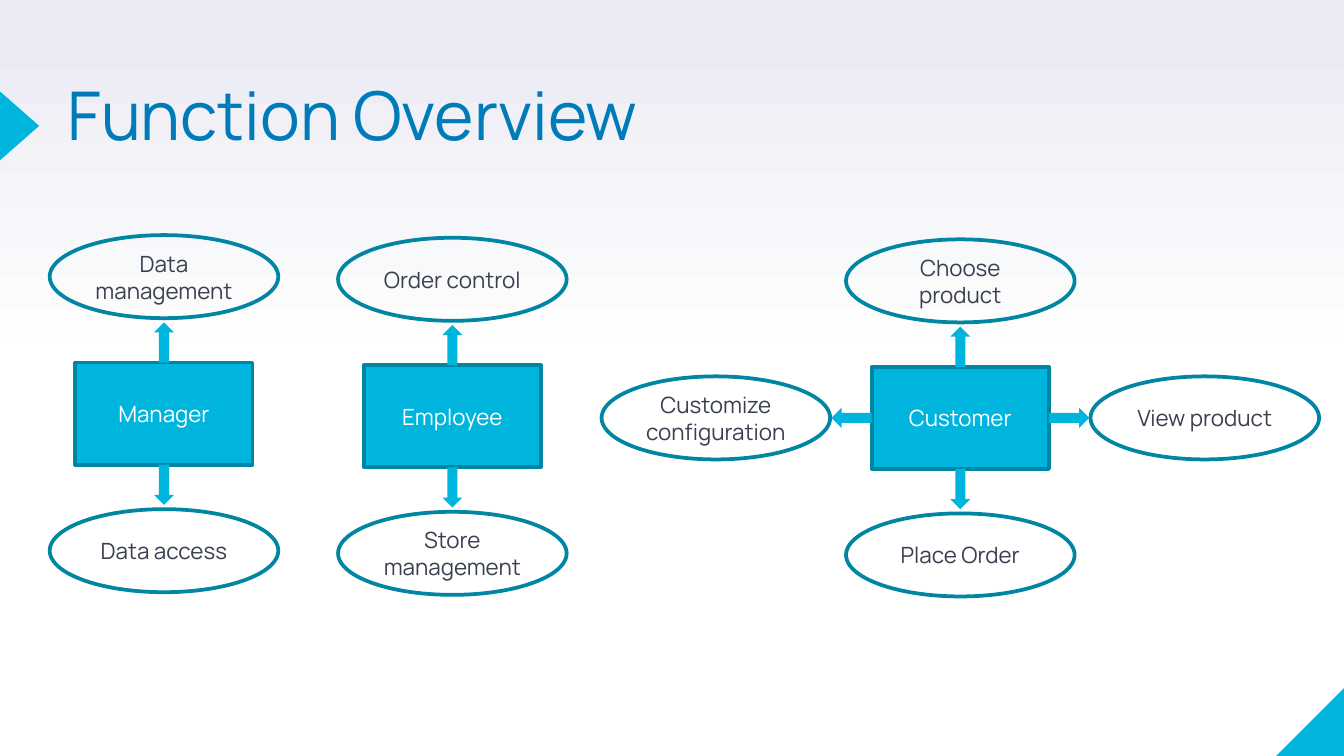
import copy

import pptx
import pptx.dml.color
import pptx.enum.shapes
import pptx.enum.text
import pptx.oxml.ns
import pptx.util

Cm = pptx.util.Cm
SHAPES = pptx.enum.shapes.MSO_SHAPE
FONT = "Manrope"
CYAN, TEAL, BLUE, DARK, WHITE = "00B5DD", "0086A3", "007BB9", "3A3F50", "FFFFFF"

ROLE_SIZE = (3.35, 1.93)
FUNCTION_SIZE = (4.32, 1.57)
ARROW_WIDTH, ARROW_LENGTH = 0.38, 0.76
REACH_X, REACH_Y = 4.62, 2.59  # from a role's centre to its functions' centres

# Horizontal step, vertical step and arrow shape of each direction
DIRECTIONS = {
    "up": (0, -1, SHAPES.UP_ARROW),
    "down": (0, 1, SHAPES.DOWN_ARROW),
    "left": (-1, 0, SHAPES.LEFT_ARROW),
    "right": (1, 0, SHAPES.RIGHT_ARROW),
}

# Centre of each role in cm, its name and its functions
ROLES = [
    ((3.1, 7.82), "Manager", {"up": "Data management", "down": "Data access"}),
    ((8.55, 7.87), "Employee", {"up": "Order control", "down": "Store management"}),
    ((18.15, 7.9), "Customer", {
        "up": "Choose product",
        "down": "Place Order",
        "left": "Customize configuration",
        "right": "View product",
    }),
]


def rgb(value):
    return pptx.dml.color.RGBColor.from_string(value)


def apply(target, values):
    for name, value in values.items():
        setattr(target, name, value)


def centred_box(centre, size):
    return (centre[0] - size[0] / 2, centre[1] - size[1] / 2, *size)


def add_shape(slide, kind, box, fill=None, line=None):
    shape = slide.shapes.add_shape(kind, *(Cm(length) for length in box))
    shape.shadow.inherit = False
    if fill:
        shape.fill.solid()
        shape.fill.fore_color.rgb = rgb(fill)
    else:
        shape.fill.background()
    if line:
        shape.line.color.rgb = rgb(line)
        shape.line.width = pptx.util.Pt(2)
    else:
        shape.line.fill.background()
    return shape


def write_text(shape, text, size, color, frame_values, paragraph_values):
    frame = shape.text_frame
    apply(frame, {"word_wrap": True, **frame_values})
    paragraph = frame.paragraphs[0]
    apply(paragraph, paragraph_values)
    run = paragraph.add_run()
    run.text = text
    apply(run.font, {"name": FONT, "size": pptx.util.Pt(size)})
    run.font.color.rgb = rgb(color)


def add_label(slide, kind, box, text, color, fill=None):
    shape = add_shape(slide, kind, box, fill, TEAL)
    write_text(shape, text, 12, color, {
        "vertical_anchor": pptx.enum.text.MSO_ANCHOR.MIDDLE,
        "margin_left": Cm(0.18),
        "margin_right": Cm(0.18),
        "margin_top": Cm(0.1),
        "margin_bottom": Cm(0.1),
    }, {"alignment": pptx.enum.text.PP_ALIGN.CENTER})


def paint_background(slide):
    fill = slide.background.fill
    fill.gradient()
    fill.gradient_angle = 90
    stop_list = slide.element.find(".//" + pptx.oxml.ns.qn("a:gsLst"))
    stop_list.insert(1, copy.deepcopy(stop_list[0]))
    colors = (WHITE, WHITE, "E9EAF2")
    for stop, position, color in zip(fill.gradient_stops, (0, 0.5, 1), colors):
        stop.position = position
        stop.color.rgb = rgb(color)


def add_corner(slide, box):
    add_shape(slide, SHAPES.RIGHT_TRIANGLE, box, CYAN).rotation = 270


def add_title_marker(slide, box):
    add_shape(slide, SHAPES.ISOSCELES_TRIANGLE, box, CYAN).rotation = 90


def place_title(slide, box, text):
    title = slide.shapes.title
    apply(title, dict(zip(("left", "top", "width", "height"), map(Cm, box))))
    write_text(title, text, 36, BLUE, {
        "vertical_anchor": pptx.enum.text.MSO_ANCHOR.TOP,
        "auto_size": pptx.enum.text.MSO_AUTO_SIZE.NONE,
        "margin_left": 0,
        "margin_right": 0,
        "margin_top": 0,
        "margin_bottom": 0,
    }, {"alignment": pptx.enum.text.PP_ALIGN.LEFT, "line_spacing": 0.8})


def add_role(slide, box, name, functions):
    """Place a role in the box, with arrows to the functions around it."""
    left, top, width, height = box
    x, y = left + width / 2, top + height / 2
    add_label(slide, SHAPES.RECTANGLE, box, name, WHITE, CYAN)
    for direction, text in functions.items():
        step_x, step_y, arrow = DIRECTIONS[direction]
        centre = (x + step_x * REACH_X, y + step_y * REACH_Y)
        add_label(slide, SHAPES.OVAL, centred_box(centre, FUNCTION_SIZE), text, DARK)
        arrow_centre = (x + step_x * (width + ARROW_LENGTH) / 2,
                        y + step_y * (height + ARROW_LENGTH) / 2)
        arrow_size = (ARROW_LENGTH, ARROW_WIDTH) if step_x else (ARROW_WIDTH, ARROW_LENGTH)
        add_shape(slide, arrow, centred_box(arrow_centre, arrow_size), CYAN)


def main():
    presentation = pptx.Presentation()
    apply(presentation, {"slide_width": Cm(25.4), "slide_height": Cm(14.29)})
    slide = presentation.slides.add_slide(presentation.slide_layouts[5])
    paint_background(slide)
    add_corner(slide, (24.12, 12.99, 1.3, 1.3))
    add_title_marker(slide, (-0.28, 2.01, 1.3, 0.74))
    place_title(slide, (1.27, 1.68, 15.67, 3), "Function Overview")
    for centre, name, functions in ROLES:
        add_role(slide, centred_box(centre, ROLE_SIZE), name, functions)
    presentation.save("out.pptx")


if __name__ == "__main__":
    main()
